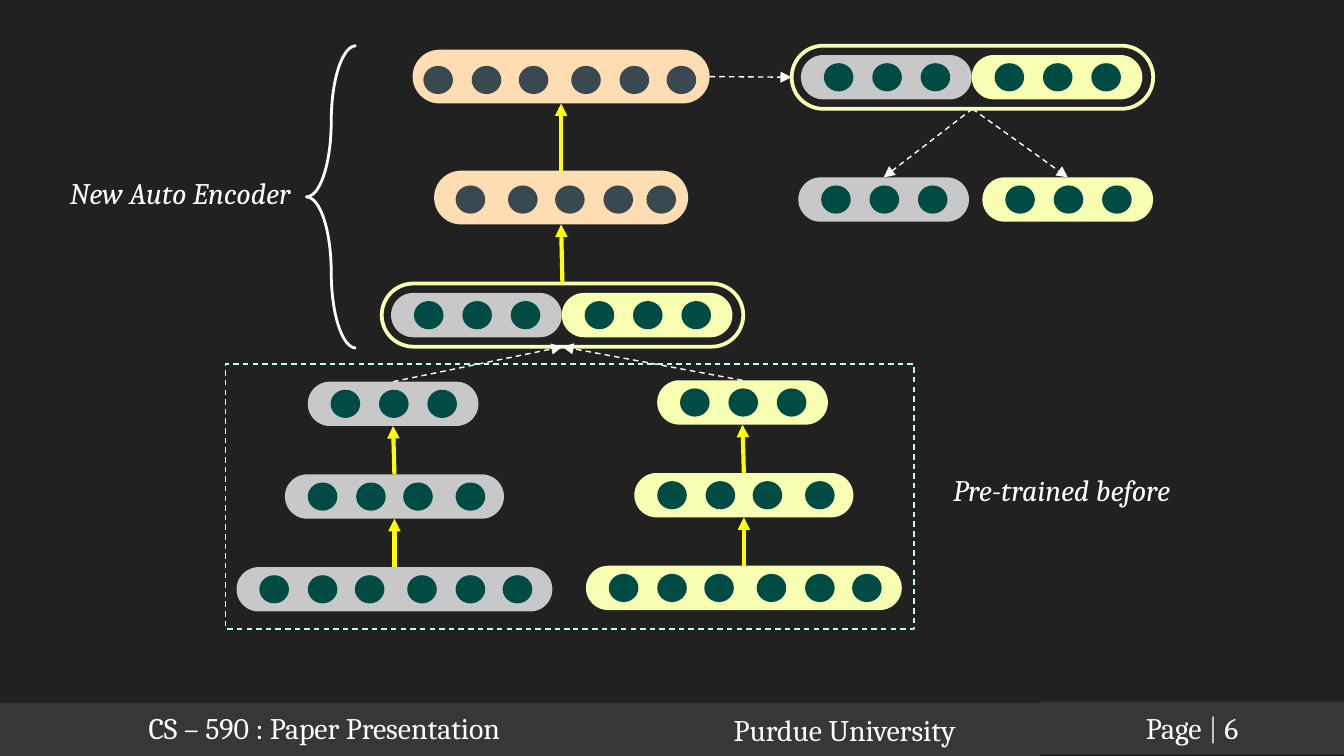
from pptx import Presentation, util as u
from pptx.dml.color import RGBColor
from pptx.enum import dml, shapes, text
from pptx.oxml.ns import qn
from lxml import etree

GREY, LEMON, PEACH = "C8C8C8", "F8FFB3", "FFDDB3"
GREEN, SLATE, WHITE, GOLD = "004B44", "3A4950", "FFFFFF", "FFFF00"
KIND = shapes.MSO_SHAPE

# Dot offsets from the left end of a bar, by number of units
THREE = [0.17, 0.53, 0.89]
FOUR = [0.17, 0.53, 0.88, 1.27]
SIX = FOUR + [1.63, 1.98]
CODE = [0.16, 0.55, 0.9, 1.26, 1.58]
OUT = [x - 0.09 for x in SIX]


def color(code):
    return RGBColor.from_string(code)


def stroke(line, code, width, dash=False):
    line.color.rgb = color(code)
    line.width = u.Pt(width)
    if dash:
        line.dash_style = dml.MSO_LINE.DASH


def shape(slide, kind, box, fill=None, edge=None, adj=()):
    item = slide.shapes.add_shape(kind, *map(u.Inches, box))
    item.shadow.inherit = False
    for i, val in enumerate(adj):
        item.adjustments[i] = val
    if fill:
        item.fill.solid()
        item.fill.fore_color.rgb = color(fill)
    else:
        item.fill.background()
    if edge:
        stroke(item.line, *edge)
    else:
        item.line.fill.background()
    return item


def write(item, runs, italic=False, anchor=text.MSO_ANCHOR.MIDDLE):
    frame = item.text_frame
    frame.word_wrap = True
    frame.vertical_anchor = anchor
    para = frame.paragraphs[0]
    para.alignment = text.PP_ALIGN.CENTER
    for words, code in runs:
        run = para.add_run()
        run.text = words
        run.font.name = "Cambria"
        run.font.size = u.Pt(16)
        run.font.italic = italic
        run.font.color.rgb = color(code)


def label(slide, box, words):
    item = slide.shapes.add_textbox(*map(u.Inches, box))
    write(item, [(words, WHITE)], italic=True)


def layer(slide, left, top, dots, fill, width, height=0.33, dot=GREEN, drop=0.06):
    """One network layer: a rounded bar with a row of units."""
    bar = shape(slide, KIND.ROUNDED_RECTANGLE, (left, top, width, height), fill, adj=[0.5])
    for x in dots:
        shape(slide, KIND.OVAL, (left + x, top + drop, 0.22, 0.21), dot)
    return bar


def trio(slide, left, top, fill):
    return layer(slide, left, top, THREE, fill, 1.27)


def arrow(slide, start, end, sides=(0, 2), code=GOLD, width=2.25, dash=False):
    item = slide.shapes.add_connector(shapes.MSO_CONNECTOR.STRAIGHT, 0, 0, 0, 0)
    item.begin_connect(start, sides[0])
    item.end_connect(end, sides[1])
    stroke(item.line, code, width, dash)
    etree.SubElement(item.line._get_or_add_ln(), qn("a:tailEnd"), type="triangle")
    etree.SubElement(item._element.spPr, qn("a:effectLst"))


def dashed(slide, start, end, sides):
    arrow(slide, start, end, sides, WHITE, 0.75, True)


def stack(slide, left, top, fill):
    """A pre-trained encoder of three layers; returns its top layer."""
    base = layer(slide, left, top + 1.38, SIX, fill, 2.35)
    mid = layer(slide, left + 0.36, top + 0.69, FOUR, fill, 1.63)
    head = trio(slide, left + 0.53, top, fill)
    arrow(slide, base, mid)
    arrow(slide, mid, head)
    return head


def joint(slide, left, top):
    """Two codes side by side in one outlined frame."""
    trio(slide, left + 0.07, top + 0.07, GREY)
    trio(slide, left + 1.34, top + 0.07, LEMON)
    return shape(slide, KIND.ROUNDED_RECTANGLE, (left, top, 2.69, 0.47),
                 edge=(LEMON, 2), adj=[0.5])


def footer(slide):
    top, mid = text.MSO_ANCHOR.TOP, text.MSO_ANCHOR.MIDDLE
    parts = [
        ((0, 5.23, 4.83, 0.4), [("CS – 590 : Paper Presentation", WHITE)], top),
        ((4.83, 5.23, 2.91, 0.4), [("Purdue University", WHITE)], mid),
        ((7.74, 5.22, 2.26, 0.39), [("Page ", WHITE), ("| ", GREY), ("6", WHITE)], mid),
    ]
    for box, runs, anchor in parts:
        write(shape(slide, KIND.RECTANGLE, box, "373737"), runs, anchor=anchor)


def main():
    deck = Presentation()
    deck.slide_width = u.Inches(10)
    deck.slide_height = u.Inches(10 * 9 / 16)
    slide = deck.slides.add_slide(deck.slide_layouts[6])
    slide.background.fill.solid()
    slide.background.fill.fore_color.rgb = color("212121")
    footer(slide)

    # Pre-trained encoders feed the joint input
    left = stack(slide, 1.76, 2.84, GREY)
    right = stack(slide, 4.36, 2.83, LEMON)
    source = joint(slide, 2.84, 2.11)
    for head in (left, right):
        dashed(slide, head, source, (0, 2))

    # New auto encoder
    code = layer(slide, 3.23, 1.27, CODE, PEACH, 1.89, 0.4, SLATE, 0.11)
    out = layer(slide, 3.07, 0.37, OUT, PEACH, 2.21, 0.4, SLATE, 0.12)
    arrow(slide, source, code)
    arrow(slide, code, out)

    # Rebuilt codes
    result = joint(slide, 5.89, 0.34)
    dashed(slide, out, result, (3, 1))
    for x, fill in ((5.94, GREY), (7.31, LEMON)):
        dashed(slide, result, trio(slide, x, 1.32, fill), (2, 0))

    # Labels with their outlines
    shape(slide, KIND.RECTANGLE, (1.68, 2.71, 5.12, 1.97), edge=("B7FFF8", 0.75, True))
    label(slide, (6.88, 3.34, 2.04, 0.6), "Pre-trained before")
    label(slide, (0.32, 1.13, 2.04, 0.6), "New Auto Encoder")
    shape(slide, KIND.LEFT_BRACE, (2.28, 0.34, 0.37, 2.25), edge=(WHITE, 1.5),
          adj=[1.535, 0.5])

    deck.save("out.pptx")


if __name__ == "__main__":
    main()
